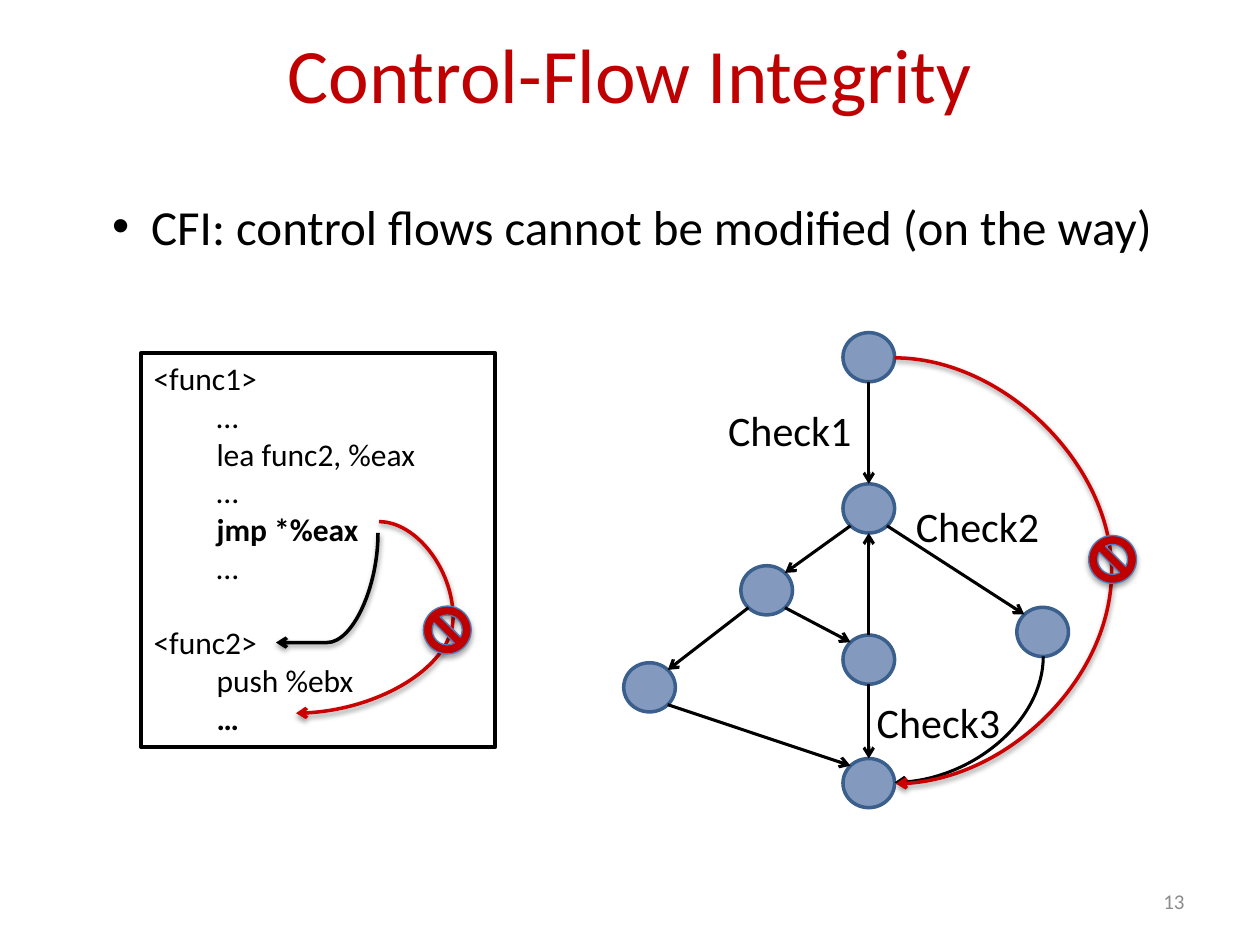
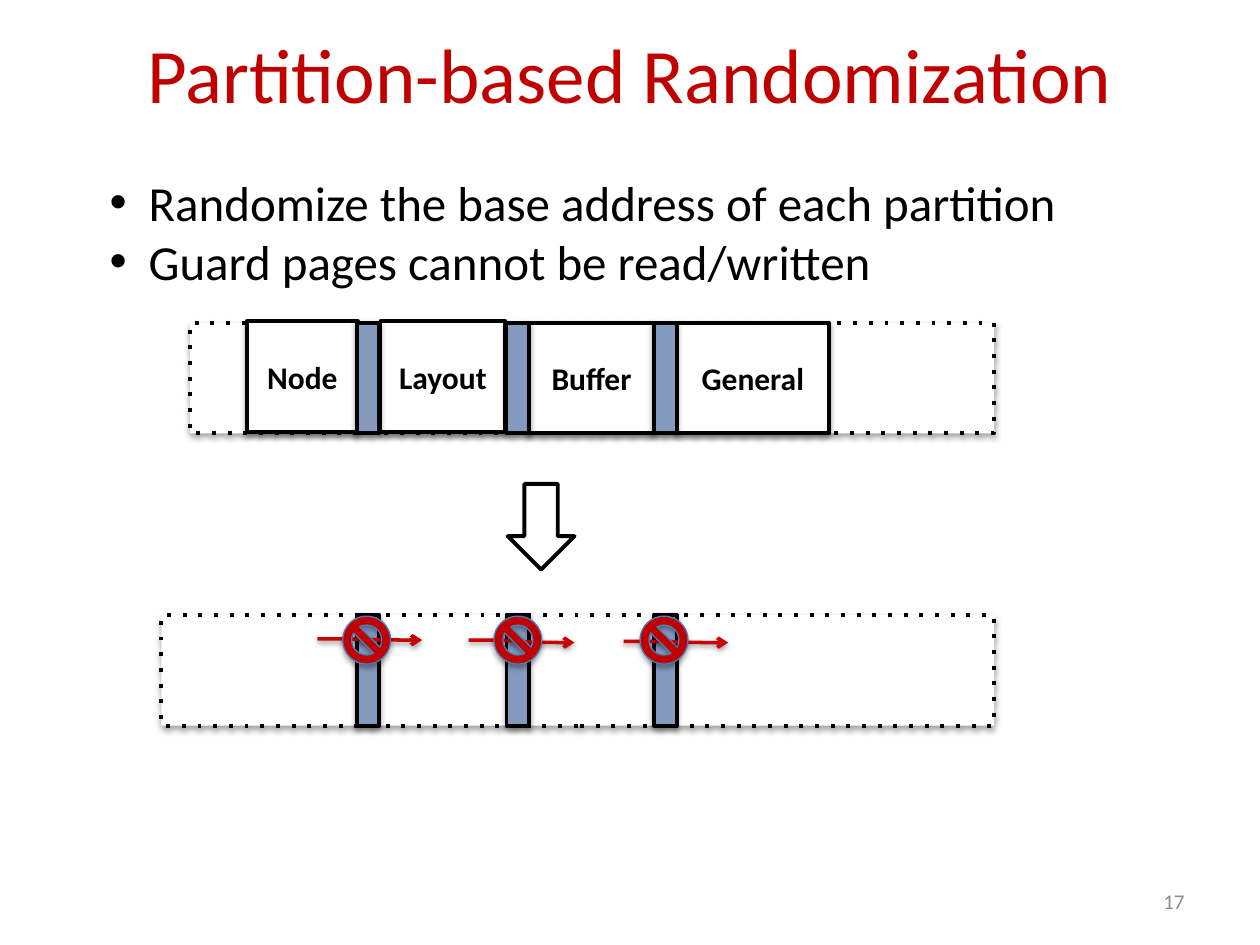
"""Build two slides on control-flow integrity and partition-based randomization."""
from dataclasses import dataclass
from math import cos, radians, sin

from lxml import etree
from pptx import Presentation
from pptx.dml.color import RGBColor
from pptx.enum.shapes import MSO_CONNECTOR, MSO_SHAPE
from pptx.enum.text import MSO_ANCHOR, MSO_AUTO_SIZE, PP_ALIGN
from pptx.oxml.ns import qn
from pptx.util import Emu, Pt

STRAIGHT, CURVED = MSO_CONNECTOR.STRAIGHT, MSO_CONNECTOR.CURVE
RECTANGLE, OVAL = MSO_SHAPE.RECTANGLE, MSO_SHAPE.OVAL
DOWN_ARROW, NO_SYMBOL = MSO_SHAPE.DOWN_ARROW, MSO_SHAPE.NO_SYMBOL
LEFT, CENTER, RIGHT = PP_ALIGN.LEFT, PP_ALIGN.CENTER, PP_ALIGN.RIGHT
TOP, MIDDLE = MSO_ANCHOR.TOP, MSO_ANCHOR.MIDDLE
NO_AUTOFIT = MSO_AUTO_SIZE.NONE

EMU_PER_PX = 9144
FONT = "Calibri"
COLORS = {
    "title": "C00000",
    "text": "000000",
    "page": "8C8C8C",
    "white": "FFFFFF",
    "steel": "839ABE",
    "node_line": "3A5F8C",
    "attack": "CB0000",
    "sign": "C00000",
    "sign_line": "4B7EBC",
}
SIGN_SIZE = 38
NODE_WIDTH, NODE_HEIGHT = 41, 39
BULLET_INDENT = 31
CODE_INDENT = 50
CODE_LINE_POINTS = 21.5
GUARD_WIDTH, BAND_HEIGHT = 18, 88
EAST, SOUTHEAST, SOUTH, SOUTHWEST = 0, 45, 90, 135
NORTHWEST, NORTH, NORTHEAST = 225, 270, 315


@dataclass(frozen=True)
class Area:
    """Hold the place and size of an object in px."""
    left: int
    top: int
    width: int
    height: int

    def emu(self) -> list[Emu]:
        """Return the four lengths in EMU."""
        return [px(value) for value in (self.left, self.top, self.width, self.height)]


@dataclass(frozen=True)
class Shadow:
    """Describe a soft shadow that falls straight down."""
    opacity: int
    distance: float
    blur: float = 3.1


@dataclass(frozen=True)
class Edge:
    """Join two graph nodes at given compass angles."""
    source: str
    source_angle: int
    target: str
    target_angle: int


@dataclass(frozen=True)
class Curve:
    """Describe a curved arrow by its ends before rotation."""
    begin_x: int
    begin_y: int
    end_x: int
    end_y: int
    color: str = "attack"
    bend: float | None = 0.5
    rotation: int = 0
    width: float = 2
    shadow: Shadow | None = Shadow(38, 1.6)


@dataclass(frozen=True)
class CodeLine:
    """Describe one line of the listing."""
    text: str
    indent: int = CODE_INDENT
    bold: bool = False
    before: float = 0


@dataclass(frozen=True)
class Label:
    """Place a piece of text in an area."""
    text: str
    area: Area


BOX_SHADOW = Shadow(35, 1.8)

NODES = {
    "entry": Area(669, 264, NODE_WIDTH, NODE_HEIGHT),
    "hub": Area(669, 384, NODE_WIDTH, NODE_HEIGHT),
    "left": Area(588, 449, NODE_WIDTH, NODE_HEIGHT),
    "middle": Area(669, 504, NODE_WIDTH, NODE_HEIGHT),
    "far_left": Area(495, 526, NODE_WIDTH, NODE_HEIGHT),
    "right": Area(807, 482, NODE_WIDTH, NODE_HEIGHT),
    "exit": Area(669, 602, NODE_WIDTH, NODE_HEIGHT),
}
EDGES = (
    Edge("entry", SOUTH, "hub", NORTH),
    Edge("hub", SOUTHWEST, "left", NORTHEAST),
    Edge("hub", SOUTHEAST, "right", NORTHWEST),
    Edge("left", SOUTHEAST, "middle", NORTHWEST),
    Edge("left", SOUTHWEST, "far_left", NORTHEAST),
    Edge("far_left", SOUTHEAST, "exit", NORTHWEST),
    Edge("middle", SOUTH, "exit", NORTH),
    Edge("middle", NORTH, "hub", SOUTH),
)
GRAPH_CURVES = (
    Curve(719, 512, 819, 630, "text", None, 90, 1.75, None),
    Curve(710, 284, 711, 622, bend=175),
)
CODE_CURVES = (
    Curve(216, 426, 303, 507, "text", 1.0, 90),
    Curve(301, 414, 235, 566, bend=-0.89),
)
CHECKS = (
    Label("Check1", Area(568, 316, 121, 50)),
    Label("Check2", Area(717, 392, 121, 50)),
    Label("Check3", Area(686, 548, 121, 50)),
)
CODE = (
    CodeLine("<func1>", 0),
    CodeLine("…"),
    CodeLine("lea func2, %eax"),
    CodeLine("…"),
    CodeLine("jmp *%eax", bold=True),
    CodeLine("…"),
    CodeLine("<func2>", 0, before=CODE_LINE_POINTS),
    CodeLine("push %ebx"),
    CodeLine("…", bold=True),
)
PARTITIONS = (
    Label("Node", Area(196, 255, 88, BAND_HEIGHT)),
    Label("Layout", Area(302, 255, 99, BAND_HEIGHT)),
    Label("Buffer", Area(420, 256, 99, BAND_HEIGHT)),
    Label("General", Area(537, 256, 121, BAND_HEIGHT)),
)
MEMORY_STRIPS = (Area(151, 256, 638, BAND_HEIGHT), Area(128, 488, 661, BAND_HEIGHT))
GUARD_LEFTS = (283, 402, 519)
BLOCKED_WRITES = (
    Curve(252, 507, 335, 508),
    Curve(372, 508, 456, 510),
    Curve(495, 509, 578, 510),
)
BLOCK_SIGN_LEFTS = (272, 392, 508)


def px(value: float) -> Emu:
    """Turn px into EMU."""
    return Emu(round(value * EMU_PER_PX))


def rgb(name: str) -> RGBColor:
    """Look up a named colour."""
    return RGBColor.from_string(COLORS[name])


def add_text(frame, text: str, *, size: float, color: str = "text", bold: bool = False,
             align=LEFT, anchor=TOP, indent: int = 0, hanging: int = 0,
             before: float = 0) -> None:
    """Add a formatted paragraph to a text frame."""
    first = frame.paragraphs[0]
    paragraph = frame.add_paragraph() if first.runs else first
    frame.word_wrap = True
    frame.auto_size = NO_AUTOFIT
    frame.vertical_anchor = anchor
    paragraph.alignment = align
    paragraph.space_before = Pt(before)
    properties = paragraph._p.get_or_add_pPr()
    properties.set("marL", str(px(indent)))
    properties.set("indent", str(px(-hanging)))
    run = paragraph.add_run()
    run.text = text
    run.font.name = FONT
    run.font.size = Pt(size)
    run.font.bold = bold
    run.font.color.rgb = rgb(color)


def set_shadow(shape, shadow: Shadow | None) -> None:
    """Give a shape or connector its shadow, or none."""
    properties = shape.element.spPr
    effects = properties.find(qn("a:effectLst"))
    if effects is None:
        effects = etree.SubElement(properties, qn("a:effectLst"))
    if shadow:
        outer = etree.SubElement(effects, qn("a:outerShdw"), blurRad=str(Pt(shadow.blur)),
                                 dist=str(Pt(shadow.distance)), dir="5400000", rotWithShape="0")
        color = etree.SubElement(outer, qn("a:srgbClr"), val=COLORS["text"])
        etree.SubElement(color, qn("a:alpha"), val=str(shadow.opacity * 1000))


def add_shape(slide, kind, area: Area, *, fill: str | None = None, line: str = "text",
              width: float = 2.25, shadow: Shadow | None = None, dotted: bool = False):
    """Draw a preset shape."""
    shape = slide.shapes.add_shape(kind, *area.emu())
    if fill:
        shape.fill.solid()
        shape.fill.fore_color.rgb = rgb(fill)
    else:
        shape.fill.background()
    shape.line.color.rgb = rgb(line)
    shape.line.width = Pt(width)
    if dotted:
        etree.SubElement(shape.element.spPr.find(qn("a:ln")), qn("a:prstDash"), val="dot")
    shape.shadow.inherit = False
    set_shadow(shape, shadow)
    return shape


def add_arrow(slide, kind, ends: tuple[float, ...], *, color: str = "text",
              width: float = 1.75, shadow: Shadow | None = None):
    """Draw a connector with an open arrowhead at its end."""
    connector = slide.shapes.add_connector(kind, *(px(value) for value in ends))
    connector.line.color.rgb = rgb(color)
    connector.line.width = Pt(width)
    etree.SubElement(connector.element.spPr.find(qn("a:ln")), qn("a:tailEnd"), type="arrow")
    set_shadow(connector, shadow)
    return connector


def add_curve(slide, curve: Curve) -> None:
    """Draw a curved arrow with its bend and rotation."""
    ends = (curve.begin_x, curve.begin_y, curve.end_x, curve.end_y)
    connector = add_arrow(slide, CURVED, ends, color=curve.color, width=curve.width,
                          shadow=curve.shadow)
    properties = connector.element.spPr
    properties.find(qn("a:xfrm")).set("rot", str(curve.rotation * 60000))
    geometry = properties.find(qn("a:prstGeom"))
    if curve.bend is None:
        geometry.set("prst", "curvedConnector2")
        return
    guides = geometry.find(qn("a:avLst"))
    etree.SubElement(guides, qn("a:gd"), name="adj1", fmla=f"val {round(curve.bend * 100000)}")


def add_sign(slide, left: int, top: int) -> None:
    """Draw a prohibition sign."""
    add_shape(slide, NO_SYMBOL, Area(left, top, SIGN_SIZE, SIGN_SIZE), fill="sign",
              line="sign_line", width=0.75, shadow=BOX_SHADOW)


def node_point(name: str, angle: int) -> tuple[float, float]:
    """Return the point on a node's outline at an angle."""
    node = NODES[name]
    return (node.left + node.width / 2 * (1 + cos(radians(angle))),
            node.top + node.height / 2 * (1 + sin(radians(angle))))


def add_label(slide, label: Label, **text_format) -> None:
    """Draw a text box."""
    box = slide.shapes.add_textbox(*label.area.emu())
    add_text(box.text_frame, label.text, **text_format)


def start_slide(presentation, title: str, page: str, bullets: tuple[str, ...], body_area: Area):
    """Add a slide with its title, bullets and page number."""
    slide = presentation.slides.add_slide(presentation.slide_layouts[1])
    heading, body = slide.shapes.title, slide.placeholders[1]
    for placeholder, area in ((heading, Area(50, -5, 900, 125)), (body, body_area)):
        placeholder.left, placeholder.top, placeholder.width, placeholder.height = area.emu()
    add_text(heading.text_frame, title, size=44, color="title", align=CENTER, anchor=MIDDLE)
    for bullet in bullets:
        add_text(body.text_frame, bullet, size=28, indent=BULLET_INDENT, hanging=BULLET_INDENT)
    add_label(slide, Label(page, Area(717, 695, 233, 40)), size=12, color="page",
              align=RIGHT, anchor=MIDDLE)
    return slide


def build_integrity_slide(presentation) -> None:
    """Draw the checked control-flow graph and the code listing."""
    slide = start_slide(presentation, "Control-Flow Integrity", "13",
                        ("CFI: control flows cannot be modified (on the way)",),
                        Area(79, 151, 856, 57))
    for area in NODES.values():
        add_shape(slide, OVAL, area, fill="steel", line="node_line", width=2)
    for edge in EDGES:
        add_arrow(slide, STRAIGHT, node_point(edge.source, edge.source_angle)
                  + node_point(edge.target, edge.target_angle))
    for curve in GRAPH_CURVES:
        add_curve(slide, curve)
    add_sign(slide, 864, 425)
    for check in CHECKS:
        add_label(slide, check, size=24)
    listing = add_shape(slide, RECTANGLE, Area(112, 280, 281, 313))
    for line in CODE:
        add_text(listing.text_frame, line.text, size=18, bold=line.bold,
                 indent=line.indent, before=line.before)
    for curve in CODE_CURVES:
        add_curve(slide, curve)
    add_sign(slide, 336, 481)


def build_partition_slide(presentation) -> None:
    """Draw the memory partitions and the guard pages between them."""
    slide = start_slide(presentation, "Partition-based Randomization", "17",
                        ("Randomize the base address of each partition",
                         "Guard pages cannot be read/written"), Area(77, 132, 779, 104))
    for strip in MEMORY_STRIPS:
        add_shape(slide, RECTANGLE, strip, fill="white", shadow=BOX_SHADOW, dotted=True)
    for partition in PARTITIONS:
        box = add_shape(slide, RECTANGLE, partition.area, fill="white", shadow=BOX_SHADOW)
        add_text(box.text_frame, partition.text, size=18, bold=True, align=CENTER, anchor=MIDDLE)
    for strip in MEMORY_STRIPS:
        for left in GUARD_LEFTS:
            add_shape(slide, RECTANGLE, Area(left, strip.top, GUARD_WIDTH, BAND_HEIGHT),
                      fill="steel", shadow=BOX_SHADOW)
    add_shape(slide, DOWN_ARROW, Area(403, 384, 53, 68))
    for write, left in zip(BLOCKED_WRITES, BLOCK_SIGN_LEFTS):
        add_curve(slide, write)
        add_sign(slide, left, 489)


def main() -> None:
    """Build and save the presentation."""
    presentation = Presentation()
    presentation.slide_width, presentation.slide_height = px(1000), px(750)
    build_integrity_slide(presentation)
    build_partition_slide(presentation)
    presentation.save("out.pptx")


if __name__ == "__main__":
    main()
